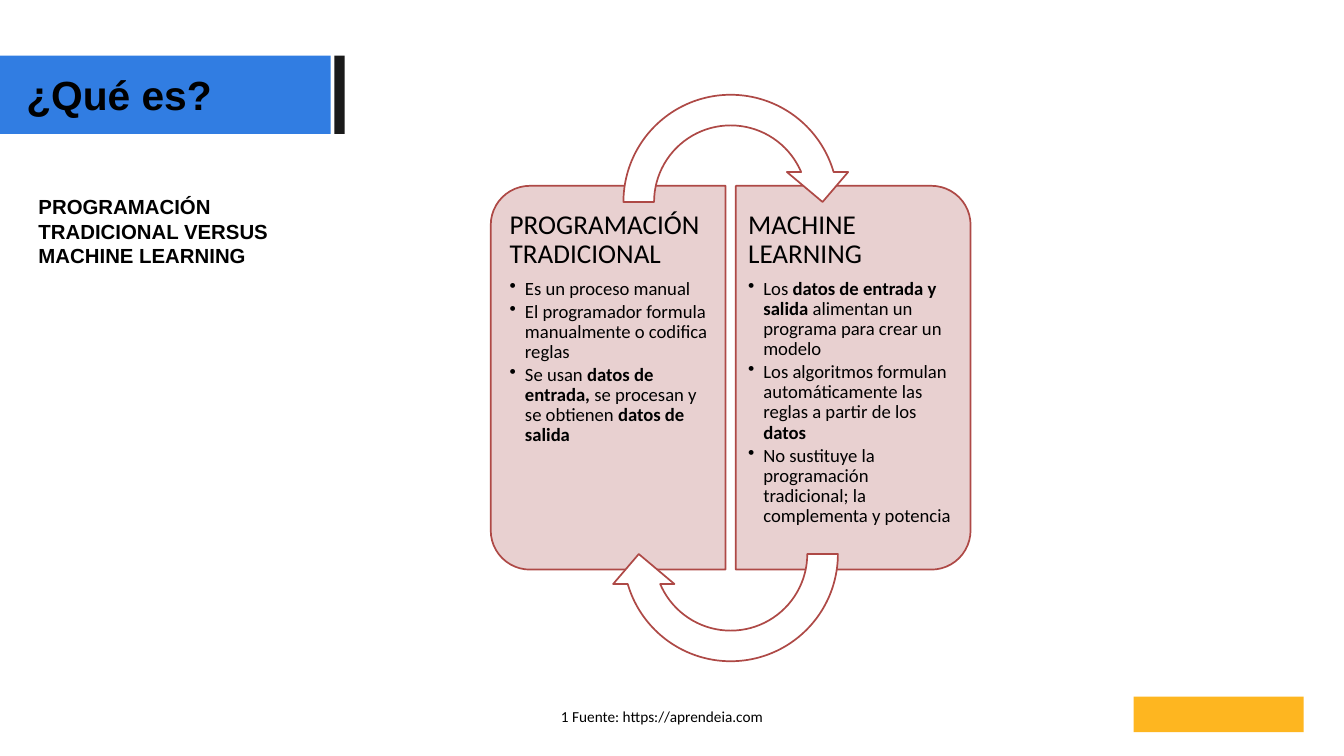
from lxml import etree
from pptx import Presentation
from pptx.dml.color import RGBColor
from pptx.enum.shapes import MSO_SHAPE
from pptx.enum.text import MSO_ANCHOR, PP_ALIGN
from pptx.oxml.ns import qn
from pptx.util import Inches, Pt

RECT = MSO_SHAPE.RECTANGLE
PANEL = MSO_SHAPE.ROUND_2_SAME_RECTANGLE
CIRCULAR_ARROW = MSO_SHAPE.CIRCULAR_ARROW
TOP = MSO_ANCHOR.TOP
LEFT = PP_ALIGN.LEFT
BLACK, WHITE, BLUE, CHARCOAL = "000000", "FFFFFF", "317DE2", "1A1A1A"
AMBER, PINK, RED = "FEB620", "E8D0D0", "AE4946"

prs = Presentation()
prs.slide_width, prs.slide_height = Inches(21.99), Inches(12.37)
slide = prs.slides.add_slide(prs.slide_layouts[5])


def add_block(kind, left, top, width, height, fill, outline=None):
    block = slide.shapes.add_shape(
        kind, Inches(left), Inches(top), Inches(width), Inches(height))
    block.shadow.inherit = False
    block.fill.solid()
    block.fill.fore_color.rgb = RGBColor.from_string(fill)
    if outline:
        block.line.color.rgb = RGBColor.from_string(outline)
        block.line.width = Pt(2)
    else:
        block.line.fill.background()
    return block


def style(paragraph, size, font, bold=None):
    paragraph.alignment = LEFT
    paragraph.font.size = Pt(size)
    paragraph.font.name = font
    paragraph.font.bold = bold
    paragraph.font.color.rgb = RGBColor.from_string(BLACK)


# Title band and plain mark in the bottom corner
add_block(RECT, 0, 0.91, 5.41, 1.28, BLUE)
add_block(RECT, 5.47, 0.91, 0.17, 1.28, CHARCOAL)
add_block(RECT, 18.55, 11.4, 2.78, 0.58, AMBER)

# Title, brought in front of its band, and subtitle
title = slide.shapes.title
slide.shapes._spTree.append(title._element)
title.left, title.top = Inches(0.43), Inches(1.14)
title.width, title.height = Inches(4.75), Inches(0.81)
subtitle = slide.shapes.add_textbox(
    Inches(0.63), Inches(3.18), Inches(4.75), Inches(1.21))
for heading, text, size in (
        (title, "¿Qué es?", 48),
        (subtitle, "PROGRAMACIÓN TRADICIONAL VERSUS\nMACHINE LEARNING", 24)):
    frame = heading.text_frame
    frame.text = text
    frame.word_wrap = True
    frame.vertical_anchor = TOP
    frame.margin_left = frame.margin_right = 0
    frame.margin_top = frame.margin_bottom = 0
    for paragraph in frame.paragraphs:
        style(paragraph, size, "Arial", True)

# Source line
citation = slide.shapes.add_textbox(
    Inches(9.08), Inches(11.52), Inches(3.55), Inches(0.4))
citation.text_frame.word_wrap = False
citation.text_frame.text = "1 Fuente: https://aprendeia.com"
style(citation.text_frame.paragraphs[0], 18, "Calibri")

# Comparison panels: each bullet is a list of (text, bold) runs
panels = (
    (6.81, 270, 8.21, 0.13, 0.2, "PROGRAMACIÓN TRADICIONAL", (
        [("Es un proceso manual", False)],
        [("El programador formula manualmente o codifica reglas", False)],
        [("Se usan ", False), ("datos de entrada,", True),
         (" se procesan y se obtienen ", False), ("datos de salida", True)])),
    (10.82, 90, 12.04, 0.2, 0.13, "MACHINE LEARNING", (
        [("Los ", False), ("datos de entrada y salida ", True),
         ("alimentan un programa para crear un modelo", False)],
        [("Los algoritmos formulan automáticamente las reglas a partir de los ",
          False), ("datos", True)],
        [("No sustituye la programación tradicional; la complementa y potencia",
          False)])),
)
for panel_left, turn, text_left, inset_left, inset_right, name, bullets in panels:
    panel = add_block(PANEL, panel_left, 4.26, 6.28, 3.84, PINK, RED)
    panel.rotation = turn
    panel.adjustments[0] = 0.167
    panel.adjustments[1] = 0

    content = slide.shapes.add_textbox(
        Inches(text_left), Inches(3.23), Inches(3.65), Inches(5.91))
    frame = content.text_frame
    frame.word_wrap = True
    frame.margin_left, frame.margin_right = Inches(inset_left), Inches(inset_right)
    frame.margin_top = frame.margin_bottom = Inches(0.22)
    panel_name = frame.paragraphs[0]
    panel_name.text = name
    panel_name.line_spacing = 0.9
    panel_name.space_after = Pt(11.2)
    style(panel_name, 32, "Calibri")
    for runs in bullets:
        bullet = frame.add_paragraph()
        bullet.level = 1
        bullet.line_spacing = 0.9
        bullet.space_after = Pt(3.3)
        properties = bullet._p.get_or_add_pPr()
        properties.set("marL", str(Inches(0.25)))
        properties.set("indent", str(-Inches(0.25)))
        etree.SubElement(properties, qn("a:buChar")).set("char", "•")
        style(bullet, 22, "Calibri")
        for text, bold in runs:
            run = bullet.add_run()
            run.text = text
            run.font.bold = bold

# Cycle arrows above and below the panels
for arrow_top, turn in ((1.3, 0), (7.06, 180)):
    arrow = add_block(CIRCULAR_ARROW, 9.95, arrow_top, 4.01, 4.01, WHITE, RED)
    arrow.rotation = turn
    for index, value in enumerate((0.125, 11.42, 204.58, 108, 0.125)):
        arrow.adjustments[index] = value

prs.save("out.pptx")
